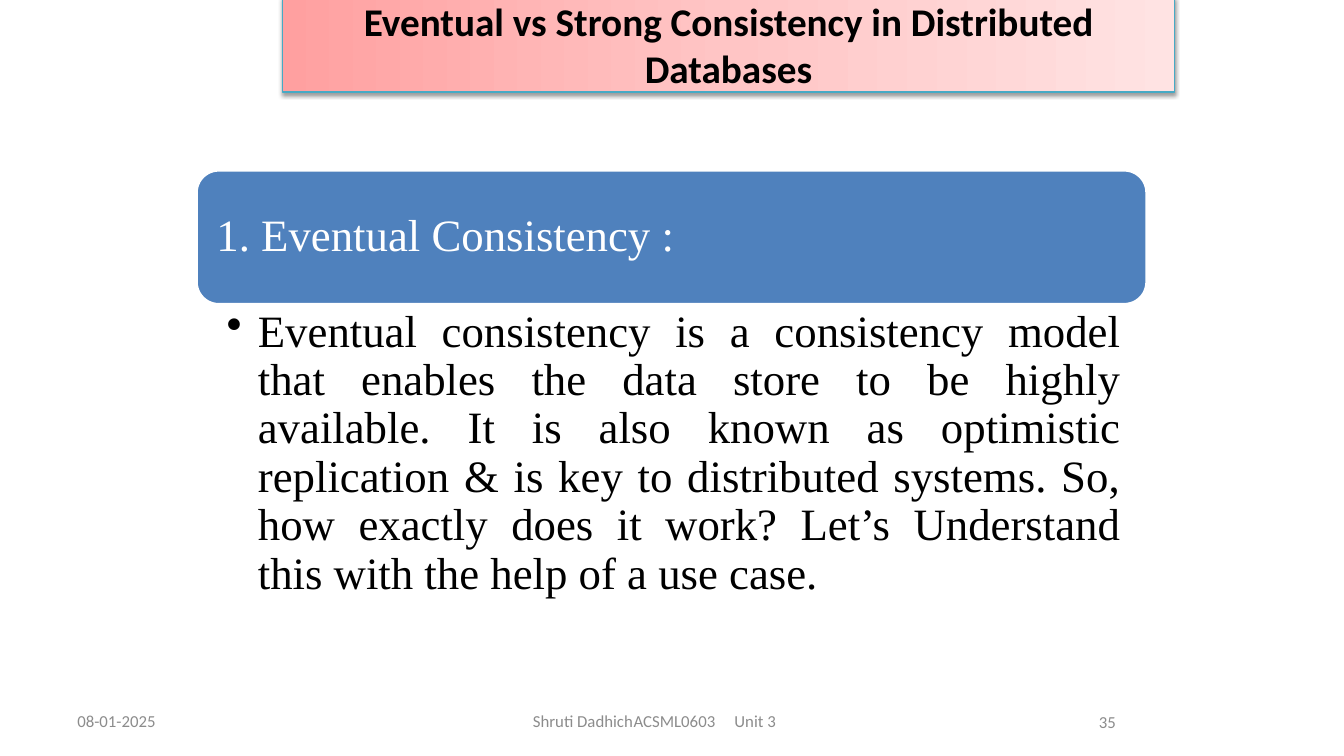
from copy import deepcopy
from lxml.etree import SubElement
from pptx import Presentation
from pptx.dml.color import RGBColor
from pptx.enum.shapes import MSO_SHAPE as SHAPE
from pptx.enum.text import MSO_ANCHOR as ANCHOR, PP_ALIGN as ALIGN
from pptx.oxml import parse_xml
from pptx.oxml.ns import nsdecls, qn
from pptx.util import Cm, Pt


def rgb(color):
    return RGBColor.from_string(color)


def write(sp, text, font, size, color, align, anchor=ANCHOR.MIDDLE,
          insets=(0.25, 0.13, 0.25, 0.13), bold=False, spacing=None):
    tf = sp.text_frame
    tf.word_wrap = True
    tf.vertical_anchor = anchor
    tf.margin_left, tf.margin_top, tf.margin_right, tf.margin_bottom = map(Cm, insets)
    p = tf.paragraphs[0]
    p.alignment = align
    p.line_spacing = spacing
    r = p.add_run()
    r.text = text
    r.font.name = font
    r.font.size = Pt(size)
    r.font.bold = bold
    r.font.color.rgb = rgb(color)
    return p


prs = Presentation()
prs.slide_width, prs.slide_height = Cm(33.87), Cm(19.05)
s = prs.slides.add_slide(prs.slide_layouts[6])

title = s.shapes.add_shape(SHAPE.RECTANGLE, Cm(7.11), Cm(-0.08), Cm(22.5), Cm(2.4))
title.fill.gradient()
title.fill.gradient_angle = 0
stop_list = title._element.spPr.find(".//" + qn("a:gsLst"))
stop_list.insert(1, deepcopy(stop_list[0]))
for stop, position, color in zip(title.fill.gradient_stops, (0, 0.5, 1),
                                 ("FFA0A0", "FFC5C5", "FFE3E3")):
    stop.position = position
    stop.color.rgb = rgb(color)
title.line.color.rgb = rgb("46AAC5")
title.line.width = Pt(0.75)
title._element.spPr.append(parse_xml(
    f'<a:effectLst {nsdecls("a")}><a:outerShdw blurRad="40000" dist="20000" '
    'dir="5400000" rotWithShape="0"><a:srgbClr val="000000"><a:alpha val="38000"/>'
    '</a:srgbClr></a:outerShdw></a:effectLst>'))
write(title, "Eventual vs Strong Consistency in Distributed Databases",
      "Calibri", 28, "000000", ALIGN.CENTER, bold=True)

footers = [
    (1.7, 17.65, 7.9, "08-01-2025", ALIGN.LEFT, ()),
    (11.58, 17.65, 10.72, "Shruti Dadhich\tACSML0603\tUnit 3", ALIGN.LEFT, (1.6, 5.1, 7.77)),
    (22.45, 17.68, 5.92, "35", ALIGN.RIGHT, ()),
]
for left, top, width, text, align, stops in footers:
    sp = s.shapes.add_textbox(Cm(left), Cm(top), Cm(width), Cm(1.02))
    p = write(sp, text, "Calibri", 12, "8C8C8C", align)
    if stops:
        pPr = p._p.get_or_add_pPr()
        pPr.set("marL", str(Cm(stops[0])))
        pPr.set("indent", "0")
        tabs = SubElement(pPr, qn("a:tabLst"))
        for stop in stops[1:]:
            SubElement(tabs, qn("a:tab"), pos=str(Cm(stop)), algn="l")

heading = s.shapes.add_shape(SHAPE.ROUNDED_RECTANGLE, Cm(4.95), Cm(4.29), Cm(23.95), Cm(3.38))
heading.shadow.inherit = False
heading.fill.solid()
heading.fill.fore_color.rgb = rgb("4F81BD")
heading.line.color.rgb = rgb("FFFFFF")
heading.line.width = Pt(2)
write(heading, "1. Eventual Consistency :", "Times New Roman", 32, "FFFFFF",
      ALIGN.JUSTIFY, insets=(0.34, 0.34, 0.34, 0.34), spacing=0.9)

body = s.shapes.add_textbox(Cm(4.95), Cm(7.67), Cm(23.95), Cm(7.29))
p = write(body, "Eventual consistency is a consistency model that enables the data store "
          "to be highly available. It is also known as optimistic replication & is key to "
          "distributed systems. So, how exactly does it work? Let’s Understand this with "
          "the help of a use case.", "Times New Roman", 32, "000000", ALIGN.JUSTIFY,
          ANCHOR.TOP, (0.76, 0.1, 0.64, 0.1), spacing=0.9)
pPr = p._p.get_or_add_pPr()
pPr.set("marL", str(Cm(0.79)))
pPr.set("indent", str(Cm(-0.79)))
SubElement(pPr, qn("a:buChar"), char="•")

prs.save("out.pptx")
